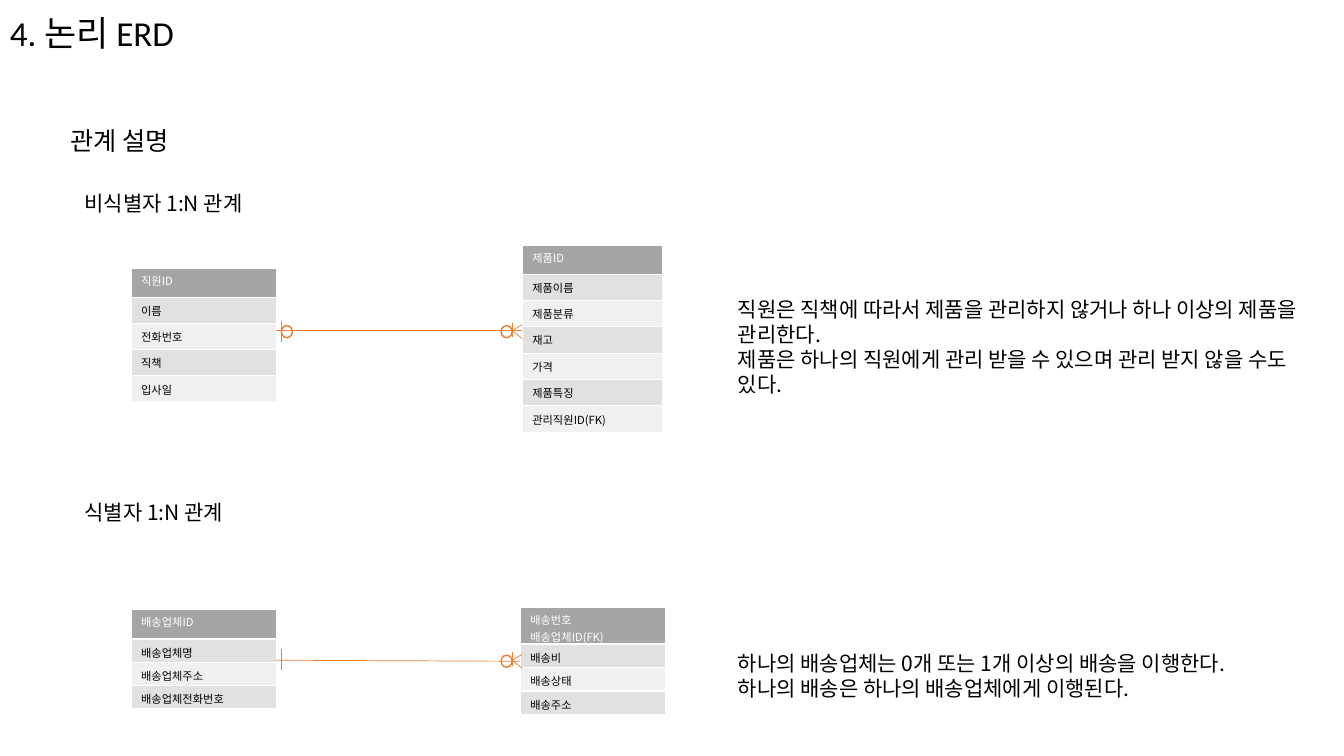
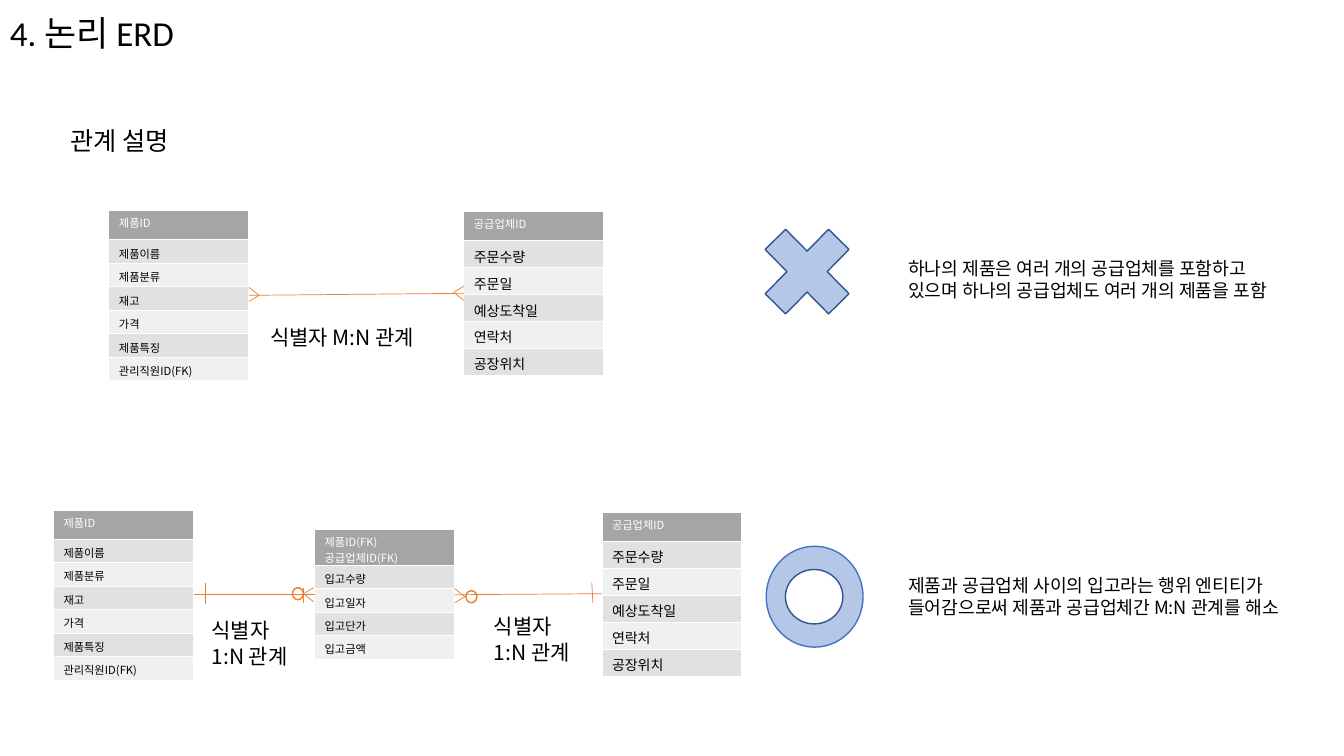
from dataclasses import dataclass

from pptx import Presentation
from pptx.dml.color import RGBColor
from pptx.enum.shapes import MSO_CONNECTOR, MSO_SHAPE
from pptx.enum.text import MSO_ANCHOR
from pptx.oxml.xmlchemy import OxmlElement
from pptx.util import Emu, Pt

STRAIGHT = MSO_CONNECTOR.STRAIGHT
OVAL = MSO_SHAPE.OVAL
CROSS = MSO_SHAPE.MATH_MULTIPLY
MIDDLE = MSO_ANCHOR.MIDDLE
PX = 9144  # 100 px to the inch


@dataclass(frozen=True)
class Theme:
    black: str = "000000"
    white: str = "FFFFFF"
    header: str = "A5A5A5"
    bands: tuple = ("E1E1E1", "F0F0F0")
    relation: str = "ED7D31"
    sign: str = "B4C7E7"
    sign_edge: str = "325491"
    ring_edge: str = "4472C4"
    title_font: str = "Calibri"
    font: str = "Noto Sans CJK KR"
    title_size: int = 25
    heading_size: int = 18
    label_size: int = 15
    note_size: int = 13
    attribute_size: int = 10
    cell_size: int = 8


THEME = Theme()


def px(*lengths):
    return [Emu(round(length * PX)) for length in lengths]


def write(frame, text, size, color=THEME.black, font=THEME.font):
    frame.text = text
    frame.word_wrap = True
    for para in frame.paragraphs:
        for span in para.runs:
            span.font.name = font
            span.font.size = Pt(size)
            span.font.bold = False
            span.font.color.rgb = RGBColor.from_string(color)
            east_asian = OxmlElement("a:ea")
            east_asian.set("typeface", THEME.font)
            span.font._element.append(east_asian)


# Entities: key cell, attributes, header height, total height, type size
STAFF = ("직원ID", ["이름", "전화번호", "직책", "입사일"], 29, 133, THEME.cell_size)
PRODUCT_KEY = "제품ID"
PRODUCT_ROWS = ["제품이름", "제품분류", "재고", "가격", "제품특징", "관리직원ID(FK)"]
TALL_PRODUCT = (PRODUCT_KEY, PRODUCT_ROWS, 29, 186, THEME.cell_size)
PRODUCT = (PRODUCT_KEY, PRODUCT_ROWS, 29, 169, THEME.cell_size)
CARRIER = ("배송업체ID", ["배송업체명", "배송업체주소", "배송업체전화번호"],
           29, 98, THEME.cell_size)
DELIVERY = ("배송번호\n배송업체ID(FK)", ["배송비", "배송상태", "배송주소"],
            36, 106, THEME.cell_size)
SUPPLIER = ("공급업체ID", ["주문수량", "주문일", "예상도착일", "연락처", "공장위치"],
            29, 163, THEME.attribute_size)
RECEIPT = ("제품ID(FK)\n공급업체ID(FK)", ["입고수량", "입고일자", "입고단가", "입고금액"],
           36, 129, THEME.cell_size)

# Slides: feet are (tip x, tip y, direction in which the foot opens)
SLIDES = [
    {
        "tables": [(STAFF, 130, 266, 144), (TALL_PRODUCT, 518, 243, 139),
                   (CARRIER, 130, 605, 144), (DELIVERY, 516, 603, 144)],
        "texts": [
            ("비식별자 1:N 관계", 74, 184, 244, 35, THEME.label_size),
            ("식별자 1:N 관계", 74, 491, 244, 35, THEME.label_size),
            ("직원은 직책에 따라서 제품을 관리하지 않거나 하나 이상의 제품을 관리한다.\n"
             "제품은 하나의 직원에게 관리 받을 수 있으며 관리 받지 않을 수도 있다.",
             722, 289, 577, 111, THEME.label_size),
            ("하나의 배송업체는 0개 또는 1개 이상의 배송을 이행한다.\n"
             "하나의 배송은 하나의 배송업체에게 이행된다.",
             722, 640, 577, 61, THEME.label_size),
        ],
        "optional": [(279, 323), (497, 323), (497, 650)],
        "lines": [(274, 328, 518, 328), (279, 318, 279, 339), (508, 320, 508, 334),
                  (274, 655, 516, 656), (279, 644, 279, 665), (508, 647, 508, 661)],
        "feet": [(508, 328, 1), (508, 655, 1)],
        "signs": [],
    },
    {
        "tables": [(PRODUCT, 108, 209, 139), (SUPPLIER, 460, 210, 139),
                   (PRODUCT, 53, 506, 139), (RECEIPT, 312, 525, 139),
                   (SUPPLIER, 597, 508, 139)],
        "texts": [
            ("식별자 M:N 관계", 258, 317, 244, 35, THEME.label_size),
            ("식별자\n1:N 관계", 200, 608, 119, 61, THEME.label_size),
            ("식별자\n1:N 관계", 480, 604, 119, 61, THEME.label_size),
            ("하나의 제품은 여러 개의 공급업체를 포함하고\n"
             "있으며 하나의 공급업체도 여러 개의 제품을 포함",
             891, 250, 577, 54, THEME.note_size),
            ("제품과 공급업체 사이의 입고라는 행위 엔티티가\n"
             "들어감으로써 제품과 공급업체간 M:N 관계를 해소",
             891, 565, 577, 54, THEME.note_size),
        ],
        "optional": [(462, 586), (290, 583)],
        "lines": [(247, 293, 460, 291), (192, 590, 312, 590), (451, 590, 597, 589),
                  (301, 583, 301, 598), (587, 578, 588, 598), (204, 578, 204, 599)],
        "feet": [(450, 290, 1), (257, 293, -1), (301, 589, 1), (461, 592, -1)],
        "signs": [(CROSS, 740, 208, 121, 123, THEME.sign, THEME.sign_edge),
                  (OVAL, 760, 542, 96, 100, THEME.sign, THEME.ring_edge),
                  (OVAL, 779, 565, 57, 54, THEME.white, THEME.sign_edge)],
    },
]

deck = Presentation()
deck.slide_width, deck.slide_height = px(1333, 750)

for content in SLIDES:
    page = deck.slides.add_slide(deck.slide_layouts[6])

    # Title and heading
    title = page.shapes.add_textbox(*px(0, 0, 216, 69)).text_frame
    write(title, "4. 논리 ERD", THEME.title_size, font=THEME.title_font)
    title.vertical_anchor = MIDDLE
    title.paragraphs[0].line_spacing = 0.9
    heading = ("관계 설명", 60, 119, 144, 40, THEME.heading_size)

    # Labels and explanations
    for text, left, top, width, height, size in [heading] + content["texts"]:
        box = page.shapes.add_textbox(*px(left, top, width, height))
        write(box.text_frame, text, size)

    # Entity tables
    for entity, left, top, width in content["tables"]:
        key, attributes, header_height, height, size = entity
        table = page.shapes.add_table(
            len(attributes) + 1, 1, *px(left, top, width, height)).table
        table.horz_banding = False
        row_height = (height - header_height) / len(attributes)
        for index, text in enumerate([key] + attributes):
            is_key = index == 0
            table.rows[index].height = px(header_height if is_key else row_height)[0]
            cell = table.cell(index, 0)
            cell.margin_top, cell.margin_bottom = px(4 if is_key else 5, 0)
            cell.fill.solid()
            cell.fill.fore_color.rgb = RGBColor.from_string(
                THEME.header if is_key else THEME.bands[(index - 1) % 2])
            write(cell.text_frame, text, THEME.cell_size if is_key else size,
                  THEME.white if is_key else THEME.black)

    # Optional-relation circles and verdict signs
    circles = [(OVAL, left, top, 11, 12, THEME.white, THEME.relation)
               for left, top in content["optional"]]
    for kind, left, top, width, height, fill, edge in circles + content["signs"]:
        shape = page.shapes.add_shape(kind, *px(left, top, width, height))
        shape.shadow.inherit = False
        shape.fill.solid()
        shape.fill.fore_color.rgb = RGBColor.from_string(fill)
        shape.line.color.rgb = RGBColor.from_string(edge)
        shape.line.width = Pt(1)

    # Relation lines, bars and crow's feet
    toes = [(x, y, x + 10 * way, y + way + spread)
            for x, y, way in content["feet"] for spread in (-7, 7)]
    for ends in content["lines"] + toes:
        line = page.shapes.add_connector(STRAIGHT, *px(*ends))
        line.line.color.rgb = RGBColor.from_string(THEME.relation)
        line.line.width = Pt(0.5)
        line._element.spPr.append(OxmlElement("a:effectLst"))

deck.save("out.pptx")
